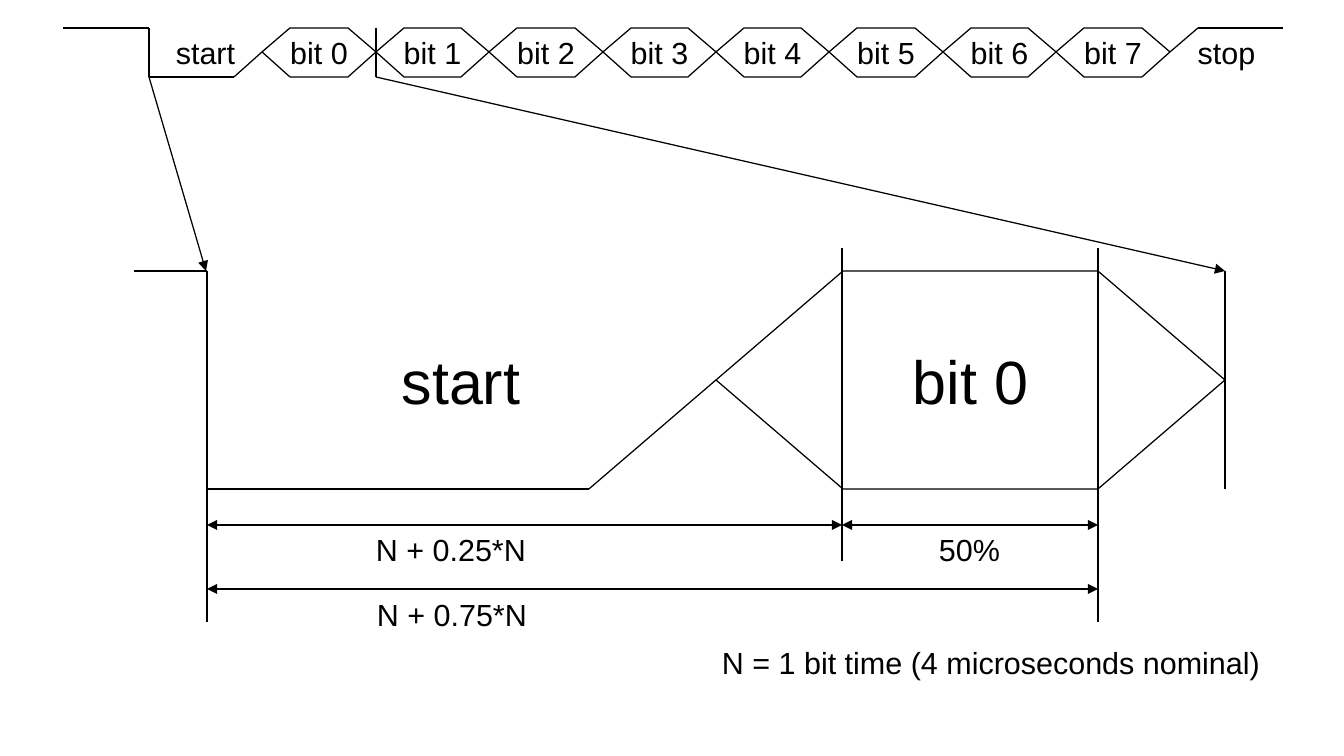
"""Build a slide that shows the timing of a serial frame and its sample points."""
from lxml.etree import SubElement as Sub
from pptx import Presentation
from pptx.dml.color import RGBColor as Rgb
from pptx.enum.shapes import MSO_CONNECTOR as Link
from pptx.enum.text import MSO_ANCHOR as Anchor, PP_ALIGN as Align
from pptx.oxml.ns import qn
from pptx.util import Emu, Pt

HUE = {"ink": "000000", "paper": "FFFFFF"}
SIZE = (1344, 756)
SCALE = 914400 / 122

CELLS = ["start"] + [f"bit {n}" for n in range(8)] + ["stop"]
LEFT, RIGHT, TOP, BASE, SLANT = 149, 1283, 28, 77, 28
ZOOM = ["start", "bit 0"]
ZLEFT, ZRIGHT, ZTOP, ZBASE, ZSLANT = 206, 1225, 271, 489, 127
FALL, EARLY, LATE = 207, 842, 1098
SPAN, TOTAL = 525, 589

NOTES = [
    ("N = 1 bit time (4 microseconds nominal)", 710, 638, 573),
    ("N + 0.25*N", 364, 525, 259),
    ("N + 0.75*N", 365, 590, 259),
    ("50%", 927, 525, 88),
]


def px(val):
    return Emu(round(val * SCALE))


def edges(left, right, count):
    return [left + round(n * (right - left) / count) for n in range(count + 1)]


def write(shape, text, size, form):
    frame = shape.text_frame
    for key, val in form.items():
        setattr(frame, key, val)
    run = frame.paragraphs[0].add_run()
    run.text = text
    for key, val in {"size": Pt(size), "name": "Arial"}.items():
        setattr(run.font, key, val)
    run.font.color.rgb = Rgb.from_string(HUE["ink"])


def cell(shapes, text, box, slant, size, line):
    left, top, right, base = box
    mid = (top + base) // 2
    pen = shapes.build_freeform(left + slant, top, scale=SCALE)
    pen.add_line_segments([
        (right - slant, top), (right, mid), (right - slant, base),
        (left + slant, base), (left, mid),
    ], close=True)
    shape = pen.convert_to_shape()
    shape.shadow.inherit = False
    shape.fill.solid()
    shape.fill.fore_color.rgb = Rgb.from_string(HUE["paper"])
    shape.line.color.rgb = Rgb.from_string(HUE[line])
    shape.line.width = Pt(0.75)
    write(shape, text, size, {"word_wrap": False, "vertical_anchor": Anchor.MIDDLE})
    shape.text_frame.paragraphs[0].alignment = Align.CENTER


def row(shapes, names, box, slant, size):
    left, top, right, base = box
    xs = edges(left, right, len(names))
    parts = sorted(zip(names, xs, xs[1:]), key=lambda part: part[0].startswith("bit"))
    for name, west, east in parts:
        line = "ink" if name.startswith("bit") else "paper"
        cell(shapes, name, (west, top, east, base), slant, size, line)
    return xs


def stroke(shapes, ends, tips=()):
    line = shapes.add_connector(Link.STRAIGHT, *map(px, ends))
    line.line.color.rgb = Rgb.from_string(HUE["ink"])
    line.line.width = Pt(0.75)
    for tip in tips:
        Sub(line.line._get_or_add_ln(), qn(f"a:{tip}"), type="triangle")
    Sub(line._element.spPr, qn("a:effectLst"))


def main():
    deck = Presentation()
    deck.slide_width, deck.slide_height = map(px, SIZE)
    shapes = deck.slides.add_slide(deck.slide_layouts[6]).shapes
    xs = row(shapes, CELLS, (LEFT, TOP, RIGHT, BASE), SLANT, 18)
    zs = row(shapes, ZOOM, (ZLEFT, ZTOP, ZRIGHT, ZBASE), ZSLANT, 36)
    mid, zmid = (TOP + BASE) // 2, (ZTOP + ZBASE) // 2
    turn, zturn = xs[1] - SLANT, zs[1] - ZSLANT
    for ends in [
        (LEFT, TOP, 63, TOP),
        (LEFT, TOP, LEFT, BASE),
        (turn, BASE, LEFT, BASE),
        (turn, BASE, xs[1], mid),
        (RIGHT, TOP, xs[-2] + SLANT, TOP),
        (xs[-2] + SLANT, TOP, xs[-2], mid),
        (xs[2], TOP, xs[2], BASE),
        (FALL, ZTOP, 134, ZTOP),
        (FALL, ZTOP, FALL, 622),
        (zturn, ZBASE, FALL, ZBASE),
        (zturn, ZBASE, zs[1], zmid),
        (ZRIGHT, ZTOP, ZRIGHT, ZBASE),
        (EARLY, 248, EARLY, 561),
        (LATE, 248, LATE, 622),
    ]:
        stroke(shapes, ends)
    for ends in [(LEFT, BASE, ZLEFT, ZTOP), (xs[2], BASE, ZRIGHT, ZTOP)]:
        stroke(shapes, ends, ["tailEnd"])
    for west, east, y in [(FALL, EARLY, SPAN), (FALL, LATE, TOTAL), (EARLY, LATE, SPAN)]:
        stroke(shapes, (west, y, east, y), ["headEnd", "tailEnd"])
    for text, left, top, width in NOTES:
        box = shapes.add_textbox(*map(px, (left, top, width, 49)))
        write(box, text, 18, {"word_wrap": True})
    deck.save("out.pptx")


if __name__ == "__main__":
    main()
